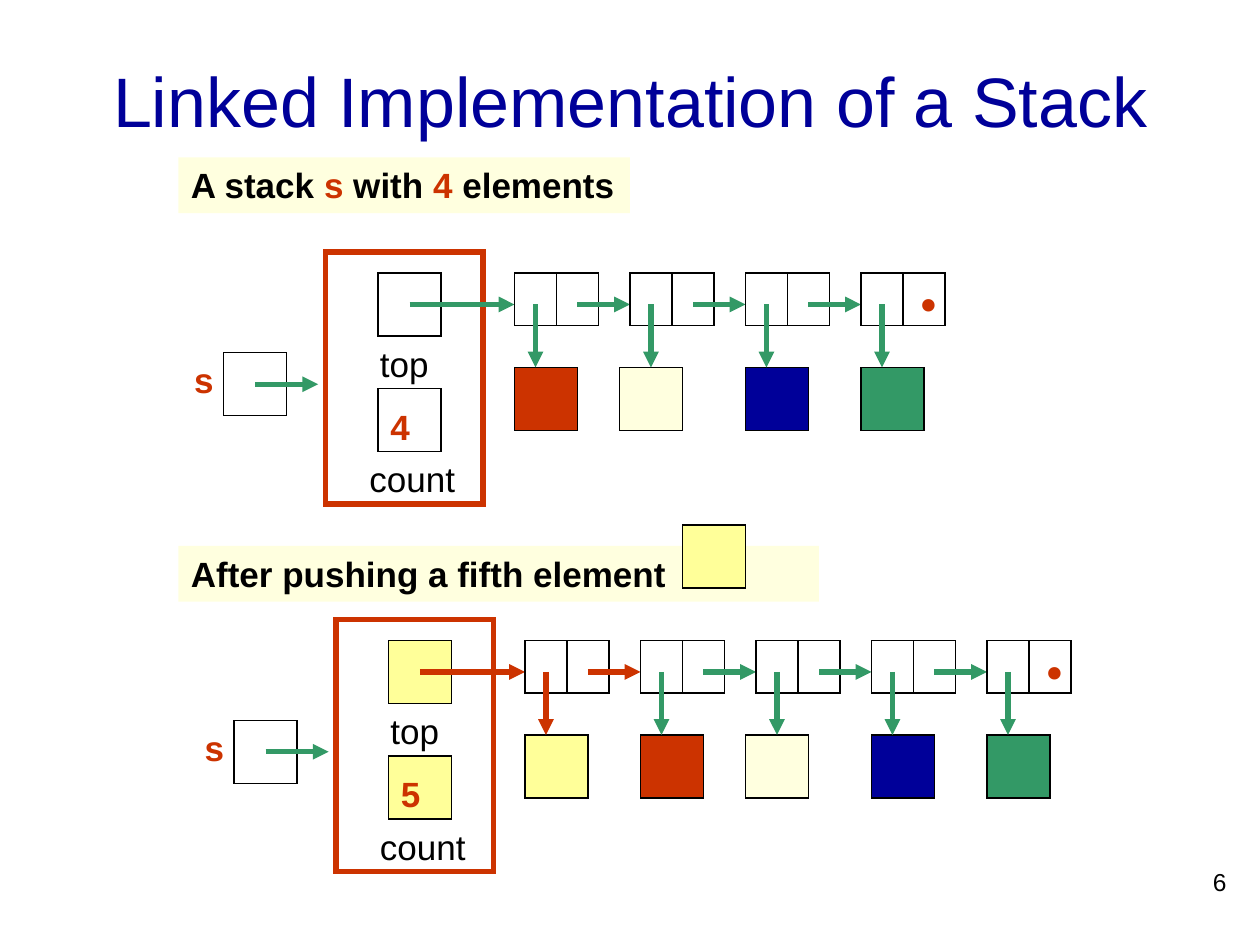
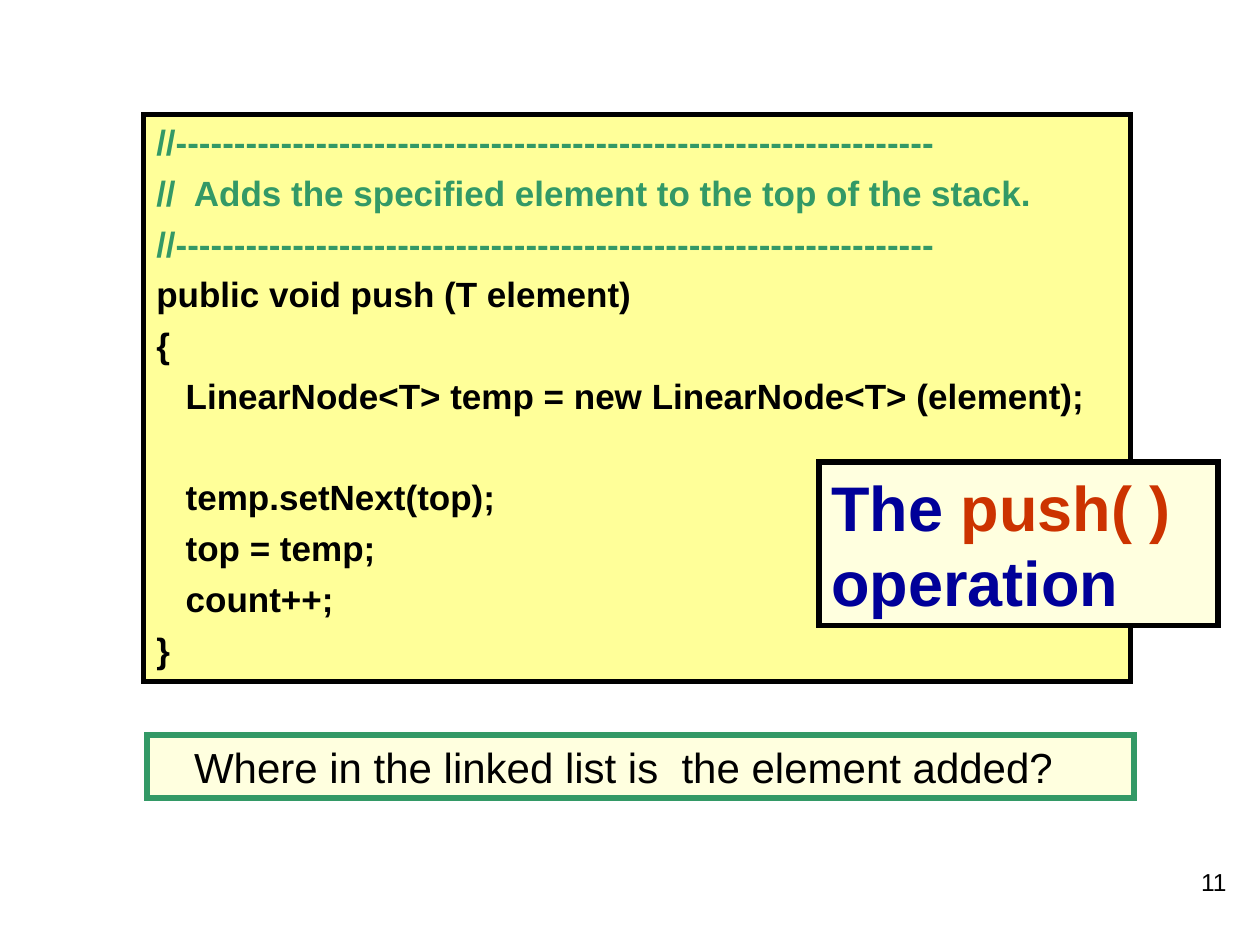
import pptx
import pptx.dml.color
import pptx.enum.shapes
import pptx.enum.text
import pptx.oxml
import pptx.oxml.ns
import pptx.util

PX = 7620  # 120 px to the inch
BLACK, RED, GREEN, BLUE = "000000", "CC3300", "339966", "000099"
IVORY, YELLOW = "FFFFDF", "FFFF99"
FONT = "Arial"

color = pptx.dml.color.RGBColor.from_string
LEFT = pptx.enum.text.PP_ALIGN.LEFT
RIGHT = pptx.enum.text.PP_ALIGN.RIGHT


def add_box(slide, bounds, fill=None, line=None, weight=0.75, paragraphs=(),
            size=20, bold=False, font=FONT, align=LEFT):
    """Add a rectangle, or a text box when it has neither fill nor line.

    Each paragraph is a list of (text, colour) runs.
    """
    bounds = [value * PX for value in bounds]
    if fill or line:
        shape = slide.shapes.add_shape(pptx.enum.shapes.MSO_SHAPE.RECTANGLE, *bounds)
        shape.shadow.inherit = False
        if fill:
            shape.fill.solid()
            shape.fill.fore_color.rgb = color(fill)
        else:
            shape.fill.background()
        if line:
            shape.line.color.rgb = color(line)
            shape.line.width = pptx.util.Pt(weight)
            shape.line._get_or_add_ln().append(pptx.oxml.parse_xml(
                f'<a:miter {pptx.oxml.ns.nsdecls("a")} lim="800000"/>'))
        else:
            shape.line.fill.background()
    else:
        shape = slide.shapes.add_textbox(*bounds)
    frame = shape.text_frame
    frame.word_wrap = True
    frame.vertical_anchor = pptx.enum.text.MSO_ANCHOR.TOP
    for index, runs in enumerate(paragraphs):
        paragraph = frame.add_paragraph() if index else frame.paragraphs[0]
        paragraph.alignment = align
        for text, run_color in runs:
            run = paragraph.add_run()
            run.text = text
            run.font.name = font
            run.font.size = pptx.util.Pt(size)
            run.font.bold = bold
            run.font.color.rgb = color(run_color)
    return shape


def add_arrow(slide, start, end, line):
    arrow = slide.shapes.add_connector(
        pptx.enum.shapes.MSO_CONNECTOR.STRAIGHT,
        *[value * PX for value in (*start, *end)])
    arrow.line.color.rgb = color(line)
    arrow.line.width = pptx.util.Pt(3)
    arrow.line._get_or_add_ln().append(pptx.oxml.parse_xml(
        f'<a:tailEnd {pptx.oxml.ns.nsdecls("a")} type="triangle"/>'))
    arrow._element.spPr.append(pptx.oxml.parse_xml(
        f'<a:effectLst {pptx.oxml.ns.nsdecls("a")}/>'))
    return arrow


presentation = pptx.Presentation()
presentation.slide_width = 1200 * PX
presentation.slide_height = 900 * PX
stack_slide = presentation.slides.add_slide(presentation.slide_layouts[5])
push_slide = presentation.slides.add_slide(presentation.slide_layouts[6])

# Stack diagrams
title = stack_slide.shapes.title
title.left, title.top, title.width, title.height = [v * PX for v in (90, 20, 1020, 150)]
title.text_frame.vertical_anchor = pptx.enum.text.MSO_ANCHOR.MIDDLE
title_paragraph = title.text_frame.paragraphs[0]
title_paragraph.alignment = pptx.enum.text.PP_ALIGN.CENTER
title_run = title_paragraph.add_run()
title_run.text = "Linked Implementation of a Stack"
title_run.font.name = FONT
title_run.font.size = pptx.util.Pt(40)
title_run.font.color.rgb = color(BLUE)

add_box(stack_slide, (170, 150, 430, 53), fill=IVORY, bold=True, paragraphs=[[
    ("A stack ", BLACK), ("s", RED), (" with ", BLACK), ("4", RED), (" elements", BLACK)]])
add_box(stack_slide, (170, 520, 610, 53), fill=IVORY, bold=True,
        paragraphs=[[("After pushing a fifth element", BLACK)]])
add_box(stack_slide, (650, 500, 60, 60), fill=YELLOW, line=BLACK)

# Record left and top, fill of its fields, colour of new links, element fills
diagrams = [
    (310, 240, None, GREEN, [RED, IVORY, BLUE, GREEN]),
    (320, 590, YELLOW, RED, [YELLOW, RED, IVORY, BLUE, GREEN]),
]
for left, top, field_fill, new_link, elements in diagrams:
    link_y = top + 50

    # Reference s
    add_box(stack_slide, (left - 137, top + 96, 60, 53), bold=True, paragraphs=[[("s", RED)]])
    add_box(stack_slide, (left - 97, top + 96, 60, 60), line=BLACK)
    add_arrow(stack_slide, (left - 67, top + 126), (left - 7, top + 126), GREEN)

    # Stack record with its two fields
    for field_top in (20, 130):
        add_box(stack_slide, (left + 50, top + field_top, 60, 60), fill=field_fill, line=BLACK)
    add_box(stack_slide, (left + 40, top + 80, 100, 53), paragraphs=[[("top", BLACK)]])
    add_box(stack_slide, (left + 30, top + 190, 110, 53), paragraphs=[[("count", BLACK)]])
    add_box(stack_slide, (left + 50, top + 140, 47, 53), bold=True,
            paragraphs=[[(str(len(elements)), RED)]])
    add_box(stack_slide, (left, top, 150, 240), line=RED, weight=3)
    add_arrow(stack_slide, (left + 80, link_y), (left + 180, link_y), new_link)

    # Linked nodes
    for index, element_fill in enumerate(elements):
        node_left = left + 180 + 110 * index
        link_color = GREEN if index else new_link
        for cell_left in (node_left, node_left + 40):
            add_box(stack_slide, (cell_left, top + 20, 40, 50), line=BLACK)
        element_left = node_left - 10 if element_fill == IVORY else node_left
        element = add_box(stack_slide, (element_left, top + 110, 60, 60),
                          fill=element_fill, line=BLACK)
        down_arrow = add_arrow(stack_slide, (node_left + 20, link_y),
                               (node_left + 20, top + 110), link_color)
        if element_fill == IVORY:
            down_arrow.end_connect(element, 0)
        if index < len(elements) - 1:
            add_arrow(stack_slide, (node_left + 60, link_y),
                      (node_left + 110, link_y), link_color)
    add_box(stack_slide, (node_left + 40, top - 50, 40, 132), size=60,
            font="Times New Roman", paragraphs=[[(".", RED)]])

# Push operation
rule = "//" + "-" * 65
code_lines = [
    (rule, GREEN),
    ("//  Adds the specified element to the top of the stack.", GREEN),
    (rule, GREEN),
    ("public void push (T element)", BLACK),
    ("{", BLACK),
    ("LinearNode<T> temp = new LinearNode<T> (element);", BLACK),
    ("temp.setNext(top);", BLACK),
    ("top = temp;", BLACK),
    ("count++;", BLACK),
    ("}", BLACK),
]
code = add_box(push_slide, (137, 109, 940, 540), fill=YELLOW, line=BLACK, weight=3,
               bold=True, paragraphs=[[line] for line in code_lines])
for index, paragraph in enumerate(code.text_frame.paragraphs):
    paragraph.space_before = pptx.util.Pt(34 if index == 6 else 5)
    if 5 <= index <= 8:
        paragraph._p.get_or_add_pPr().set("marL", str(28 * PX))

question = add_box(push_slide, (140, 700, 940, 60), fill=IVORY, line=GREEN, weight=3, size=24,
                   paragraphs=[[("Where in the linked list is  the element added?", BLACK)]])
question.text_frame.paragraphs[0]._p.get_or_add_pPr().set("marL", str(33 * PX))

add_box(push_slide, (780, 440, 380, 156), fill=IVORY, line=BLACK, weight=3,
        size=36, bold=True,
        paragraphs=[[("The ", BLUE), ("push( ) ", RED), ("operation", BLUE)]])

for slide, number in ((stack_slide, "6"), (push_slide, "11")):
    add_box(slide, (930, 820, 250, 60), size=14, align=RIGHT, paragraphs=[[(number, BLACK)]])

presentation.save("out.pptx")
